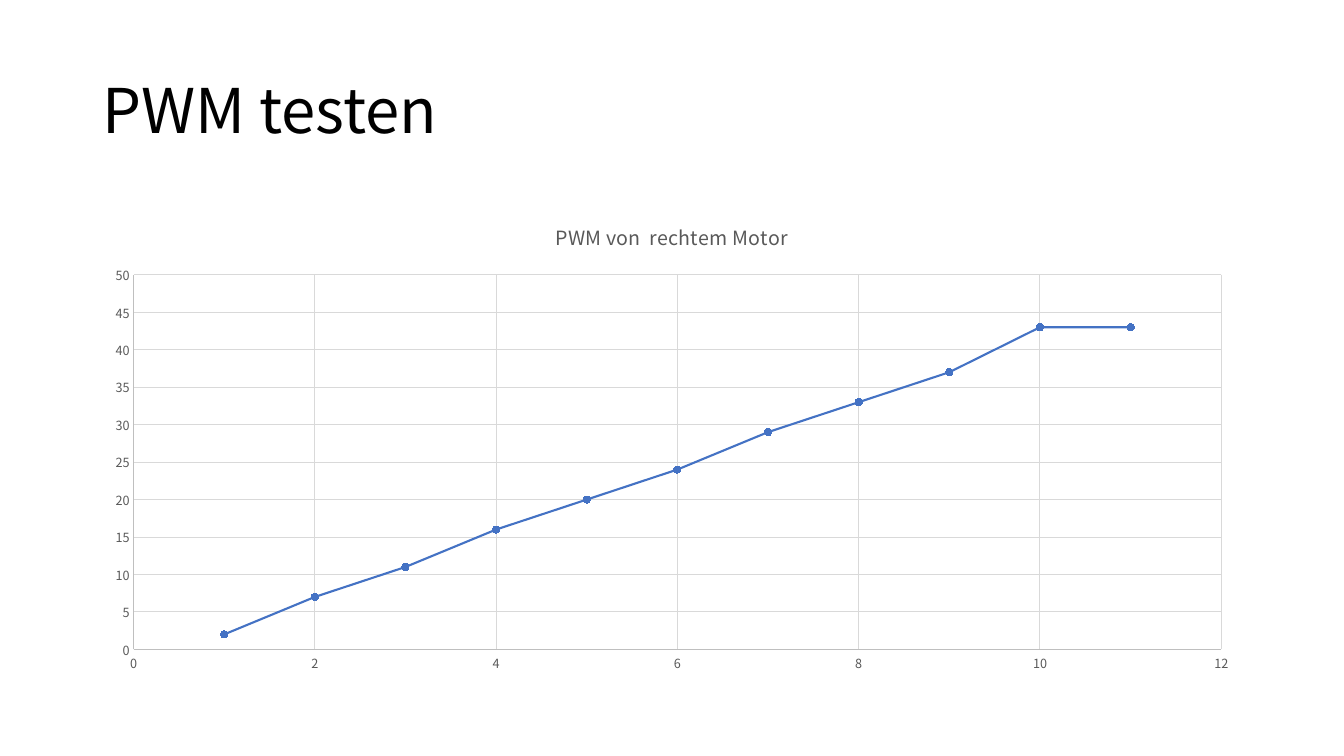
from pptx import Presentation
from pptx import util as u
from pptx.chart.data import XyChartData
from pptx.dml.color import RGBColor
from pptx.enum import chart as ch, text

Pt = u.Pt
FONT = "Noto Sans CJK SC"
COLORS = {"title": "000000", "label": "595959", "axis": "BFBFBF",
          "grid": "D9D9D9", "series": "4472C4"}
LEFT, WIDTH = 66, 828


def style_font(font, size, color):
    """Set typeface, size in points and named colour."""
    font.name, font.size, font.bold = FONT, Pt(size), False
    font.color.rgb = RGBColor.from_string(COLORS[color])


def style_line(line, width, color):
    """Set line width in points and named colour."""
    line.width = Pt(width)
    line.color.rgb = RGBColor.from_string(COLORS[color])


prs = Presentation()
prs.slide_width, prs.slide_height = Pt(960), Pt(540)
s = prs.slides.add_slide(prs.slide_layouts[5])

# Slide title
title = s.shapes.title
title.left, title.top, title.width, title.height = Pt(LEFT), Pt(28.75), Pt(WIDTH), Pt(104.4)
tf = title.text_frame
tf.text = "PWM testen"
tf.word_wrap = True
tf.vertical_anchor = text.MSO_ANCHOR.MIDDLE
p = tf.paragraphs[0]
p.alignment = text.PP_ALIGN.LEFT
p.line_spacing = 0.9
style_font(p.font, 44, "title")

# Motor measurements
data = XyChartData()
motor = data.add_series("Series 1")
for step, value in enumerate([2, 7, 11, 16, 20, 24, 29, 33, 37, 43, 43], start=1):
    motor.add_data_point(step, value)
chart = s.shapes.add_chart(ch.XL_CHART_TYPE.XY_SCATTER_LINES, Pt(LEFT), Pt(143.75),
                           Pt(WIDTH), Pt(342.6), data).chart
style_font(chart.font, 10, "title")
chart.has_legend = False
chart.has_title = True
tf = chart.chart_title.text_frame
tf.text = "PWM von  rechtem Motor"
style_font(tf.paragraphs[0].font, 14, "label")
chart.chart_title.include_in_layout = False

# Axes
for axis, top, unit in ((chart.category_axis, 12, 2), (chart.value_axis, 50, 5)):
    axis.minimum_scale, axis.maximum_scale, axis.major_unit = 0, top, unit
    axis.major_tick_mark = axis.minor_tick_mark = ch.XL_TICK_MARK.NONE
    axis.has_major_gridlines = True
    style_line(axis.major_gridlines.format.line, 0.75, "grid")
    style_line(axis.format.line, 0.75, "axis")
    style_font(axis.tick_labels.font, 9, "label")

# Curve
plot = chart.plots[0]
plot.vary_by_categories = False
curve = plot.series[0]
curve.smooth = False
style_line(curve.format.line, 1.5, "series")
curve.marker.style = ch.XL_MARKER_STYLE.CIRCLE
curve.marker.size = 5
curve.marker.format.fill.solid()
curve.marker.format.fill.fore_color.rgb = RGBColor.from_string(COLORS["series"])
style_line(curve.marker.format.line, 0.75, "series")

prs.save("out.pptx")
